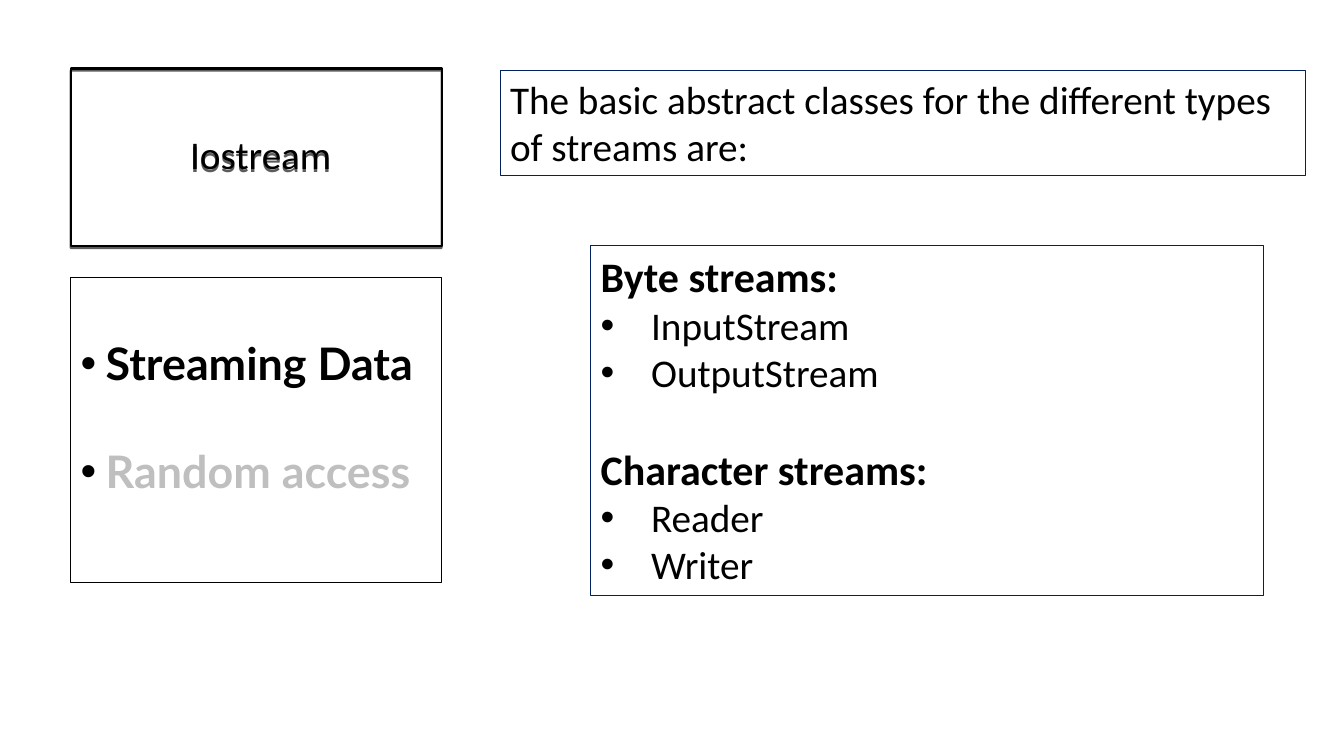
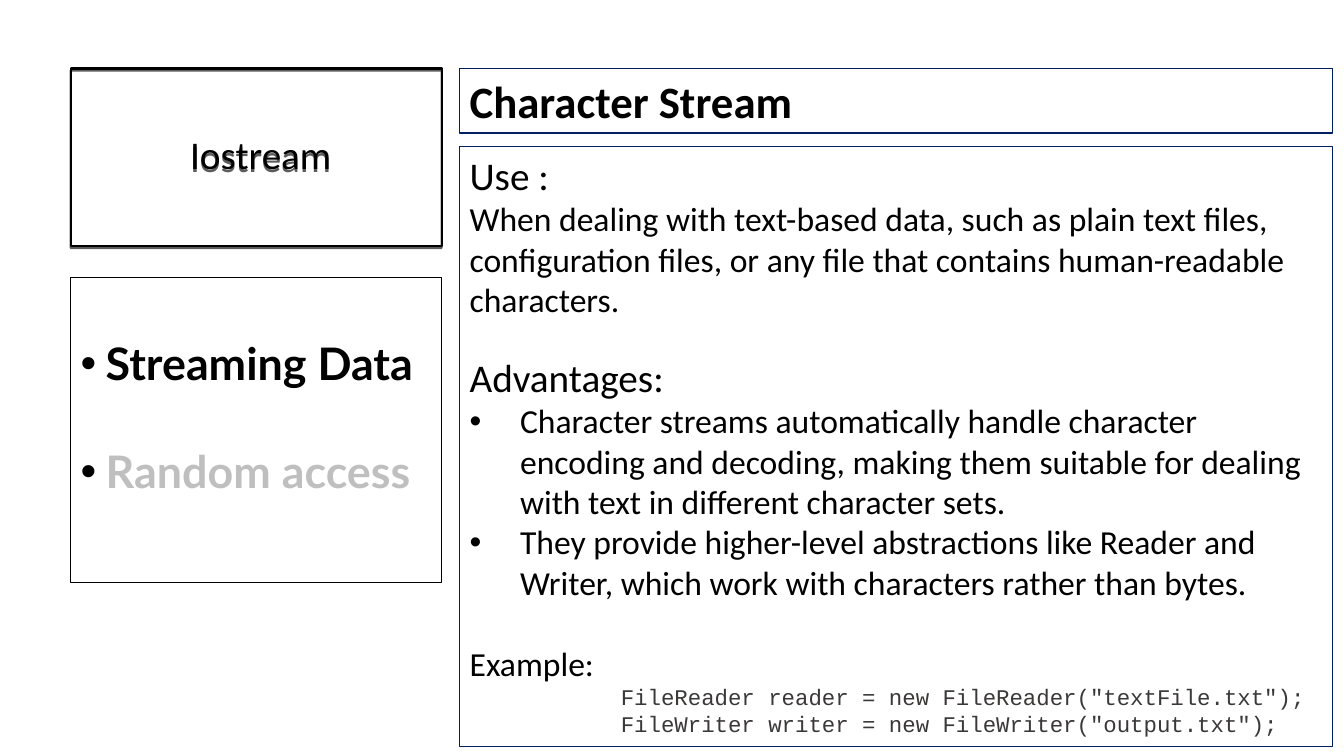
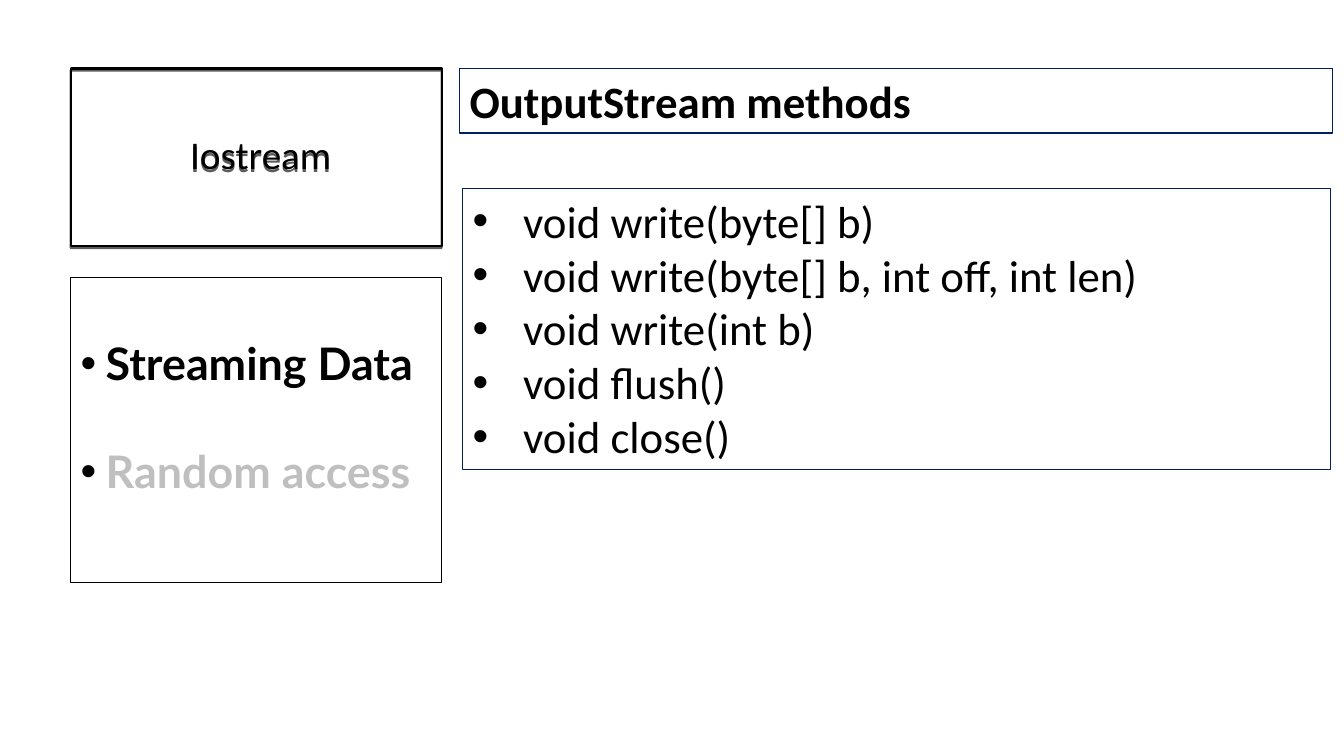
from dataclasses import dataclass

from lxml import etree
from pptx import Presentation
from pptx import util as u
from pptx.dml import color
from pptx.enum import text
from pptx.oxml import ns
from pptx.slide import Slide

EMU_PER_PX = 9144
COLORS = {"black": "000000", "navy": "002060", "muted": "BFBFBF", "code": "3B3838"}


@dataclass(frozen=True)
class Line:
    words: str
    size: int
    bold: bool = False
    bullet: bool = False
    margin: int = 0
    font: str = "Calibri"
    color: str = "black"
    before: float = 0


@dataclass(frozen=True)
class Panel:
    left: int
    top: int
    width: int
    height: int
    lines: tuple[Line, ...]
    border: str = "navy"
    weight: float = 0.75
    middle: bool = False
    centered: bool = False
    shadow: bool = False
    left_inset: int = 10
    bottom_inset: int = 5


def px(length: int) -> u.Emu:
    return u.Emu(length * EMU_PER_PX)


def rgb(name: str) -> color.RGBColor:
    return color.RGBColor.from_string(COLORS[name])


def bullets(size: int, *items: str) -> tuple[Line, ...]:
    return tuple(Line(item, size, bullet=True, margin=50) for item in items)


def heading(words: str) -> Panel:
    return Panel(456, 68, 866, 64, (Line(words, 32, bold=True),))


def add_element(parent: etree._Element, tag: str, **attributes: str) -> etree._Element:
    element = etree.SubElement(parent, ns.qn(tag))
    for name, value in attributes.items():
        element.set(name, value)
    return element


def add_shadow(properties: etree._Element) -> None:
    effects = add_element(properties, "a:effectLst")
    shadow = add_element(effects, "a:outerShdw", blurRad="0", dist=str(u.Pt(1.5)),
                         dir="5400000", rotWithShape="0")
    shade = add_element(shadow, "a:srgbClr", val=COLORS["black"])
    add_element(shade, "a:alpha", val="63000")


def format_paragraph(paragraph: text.PP_ALIGN, line: Line) -> None:
    properties = paragraph._p.get_or_add_pPr()
    if line.margin:
        properties.set("marL", str(px(line.margin)))
    if line.bullet:
        properties.set("indent", str(px(-line.margin)))
        bullet_color = add_element(properties, "a:buClr")
        add_element(bullet_color, "a:srgbClr", val=COLORS["black"])
        add_element(properties, "a:buFont", typeface="Arial")
        add_element(properties, "a:buChar", char="•")
    if line.before:
        paragraph.space_before = u.Pt(line.before)
    paragraph.add_run().text = line.words
    paragraph.font.name = line.font
    paragraph.font.size = u.Pt(line.size)
    paragraph.font.bold = line.bold
    paragraph.font.color.rgb = rgb(line.color)


def draw_panel(slide: Slide, panel: Panel) -> None:
    shape = slide.shapes.add_textbox(
        px(panel.left), px(panel.top), px(panel.width), px(panel.height))
    shape.line.color.rgb = rgb(panel.border)
    shape.line.width = u.Pt(panel.weight)
    if panel.shadow:
        add_shadow(shape._element.spPr)
    frame = shape.text_frame
    frame.word_wrap = True
    frame.auto_size = text.MSO_AUTO_SIZE.NONE
    frame.margin_left = px(panel.left_inset)
    frame.margin_bottom = px(panel.bottom_inset)
    frame.vertical_anchor = text.MSO_ANCHOR.MIDDLE if panel.middle else text.MSO_ANCHOR.TOP
    for index, line in enumerate(panel.lines):
        paragraph = frame.add_paragraph() if index else frame.paragraphs[0]
        format_paragraph(paragraph, line)
        if panel.centered:
            paragraph.alignment = text.PP_ALIGN.CENTER
            paragraph.line_spacing = 0.9


SIDEBAR = (
    Panel(70, 68, 368, 176, (Line("Iostream", 28),), border="black", weight=1.5,
          middle=True, centered=True, shadow=True, left_inset=19),
    Panel(70, 275, 368, 303, (
        Line("Streaming Data", 32, True, True, 25, "Lato"),
        Line("Random access", 32, True, True, 25, "Lato", "muted", before=38.4),
    ), border="black", middle=True, bottom_inset=31),
)

SLIDES = (
    (
        Panel(496, 70, 799, 104, (
            Line("The basic abstract classes for the different types of streams are:", 28),
        )),
        Panel(586, 244, 667, 347, (
            Line("Byte streams:", 30, bold=True),
            *bullets(28, "InputStream", "OutputStream"),
            Line("Character streams:", 30, bold=True, before=34.2),
            *bullets(28, "Reader", "Writer"),
        )),
    ),
    (
        heading("Character Stream"),
        Panel(456, 145, 866, 596, (
            Line("Use :", 28),
            Line("When dealing with text-based data, such as plain text files, configuration "
                 "files, or any file that contains human-readable characters.", 24),
            Line("Advantages:", 28, before=24.4),
            *bullets(
                24,
                "Character streams automatically handle character encoding and decoding, "
                "making them suitable for dealing with text in different character sets.",
                "They provide higher-level abstractions like Reader and Writer, which work "
                "with characters rather than bytes.",
            ),
            Line("Example:", 24, before=29.3),
            *(Line(code, 16, margin=150, font="Courier New", color="code") for code in (
                'FileReader reader = new FileReader("textFile.txt");',
                'FileWriter writer = new FileWriter("output.txt");',
            )),
        )),
    ),
    (
        heading("OutputStream methods"),
        Panel(459, 187, 861, 279, bullets(
            32,
            "void write(byte[] b)",
            "void write(byte[] b, int off, int len)",
            "void write(int b)",
            "void flush()",
            "void close()",
        )),
    ),
)


def main() -> None:
    presentation = Presentation()
    presentation.slide_width = px(1333)
    presentation.slide_height = px(750)
    for panels in SLIDES:
        slide = presentation.slides.add_slide(presentation.slide_layouts[6])
        for panel in SIDEBAR + panels:
            draw_panel(slide, panel)
    presentation.save("out.pptx")


if __name__ == "__main__":
    main()
